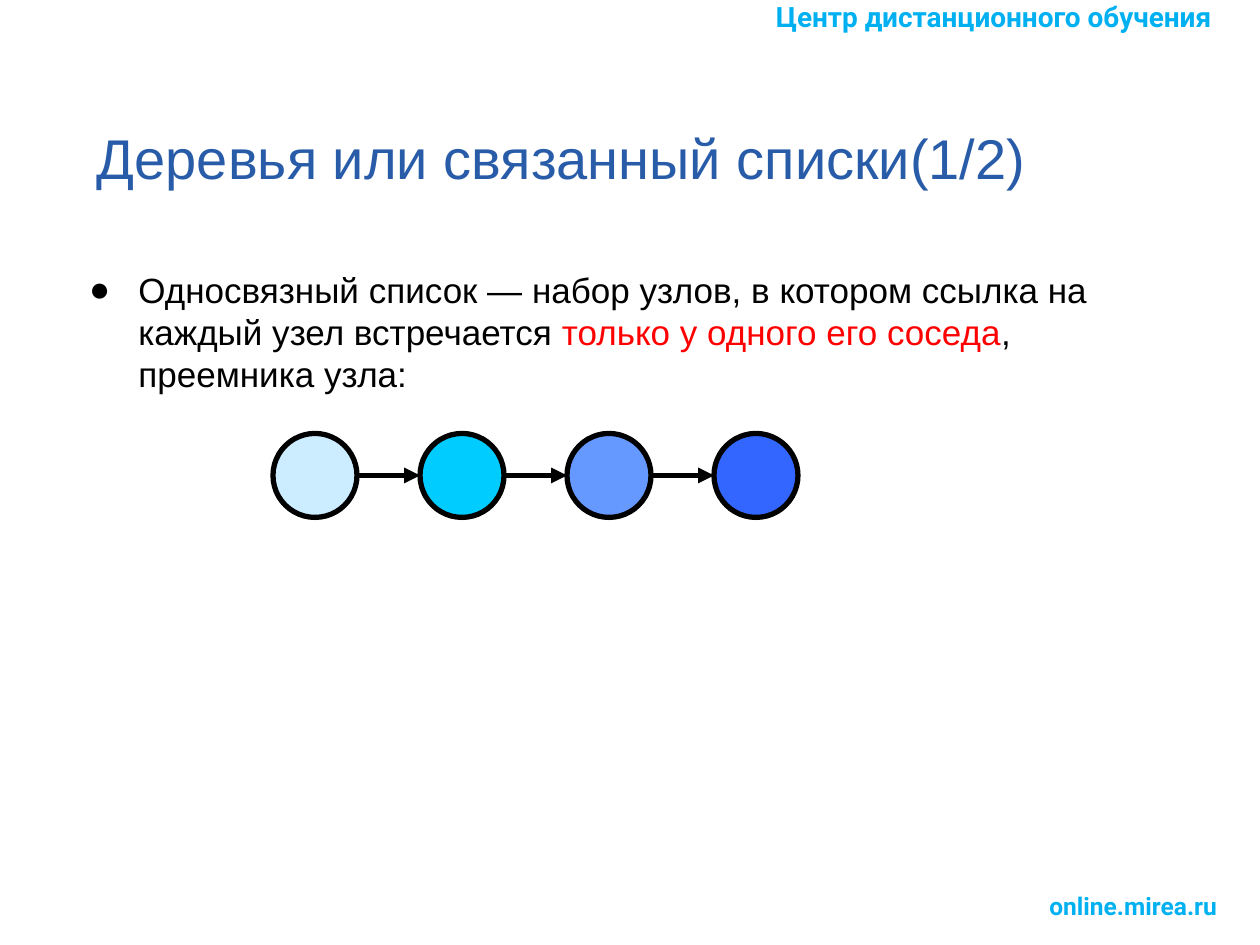
from lxml.etree import SubElement
from pptx import Presentation
from pptx.dml.color import RGBColor
from pptx.enum.shapes import MSO_CONNECTOR, MSO_SHAPE
from pptx.enum.text import MSO_ANCHOR
from pptx.oxml.ns import qn
from pptx.util import Inches, Pt

BLACK = RGBColor(0x00, 0x00, 0x00)
RED = RGBColor(0xFF, 0x00, 0x00)
TITLE_BLUE = RGBColor(0x29, 0x5C, 0xA8)
BRAND_BLUE = RGBColor(0x00, 0xB0, 0xF0)
NODE_FILLS = [
    RGBColor(0xCC, 0xEC, 0xFF),
    RGBColor(0x00, 0xCC, 0xFF),
    RGBColor(0x66, 0x99, 0xFF),
    RGBColor(0x33, 0x66, 0xFF),
]

prs = Presentation()
prs.slide_width, prs.slide_height = Inches(10), Inches(7.5)
s = prs.slides.add_slide(prs.slide_layouts[6])
COL = prs.slide_width / 60  # grid of 60 columns


def add_box(left, top, width, height):
    tf = s.shapes.add_textbox(*map(Inches, (left, top, width, height))).text_frame
    tf.word_wrap = True
    return tf


def add_run(p, text, font, size, color, bold=False):
    r = p.add_run()
    r.text = text
    r.font.name, r.font.size, r.font.bold = font, Pt(size), bold
    r.font.color.rgb = color


# Header and footer
tf = add_box(6.06, -0.05, 3.94, 0.37)
add_run(tf.paragraphs[0], "Центр дистанционного обучения", "Roboto", 16, BRAND_BLUE, True)
tf = add_box(8.23, 7.02, 1.61, 0.34)
add_run(tf.paragraphs[0], "online.mirea.ru", "Roboto", 14, BRAND_BLUE, True)

# Title
tf = add_box(0.67, 0.87, 9, 0.74)
tf.vertical_anchor = MSO_ANCHOR.BOTTOM
tf.margin_top = tf.margin_bottom = Inches(0.1)
add_run(tf.paragraphs[0], "Деревья или связанный списки(1/2)", "Arial", 32, TITLE_BLUE)

# Bulleted definition
tf = add_box(0.5, 1.97, 9, 1.63)
tf.margin_top = Inches(0.16)
p = tf.paragraphs[0]
pPr = p._p.get_or_add_pPr()
pPr.set("marL", str(Inches(0.5)))
pPr.set("indent", str(Inches(-0.39)))
SubElement(pPr, qn("a:buFont"), typeface="Arial")
SubElement(pPr, qn("a:buChar"), char="●")
for text, color in [
    ("Односвязный список — набор узлов, в котором ссылка на каждый узел встречается ", BLACK),
    ("только у одного его соседа", RED),
    (", преемника узла:", BLACK),
]:
    add_run(p, text, "Arial", 20, color)

# Linked list: nodes of 4 columns, gaps of 3
FIRST, NODE, GAP = 13 * COL, 4 * COL, 3 * COL
top = Inches(3.44)
middle = int(top + NODE / 2)
for i, fill in enumerate(NODE_FILLS):
    left = FIRST + i * (NODE + GAP)
    node = s.shapes.add_shape(MSO_SHAPE.OVAL, int(left), top, int(NODE), int(NODE))
    node.shadow.inherit = False
    node.fill.solid()
    node.fill.fore_color.rgb = fill
    node.line.color.rgb = BLACK
    node.line.width = Pt(3)

# Arrows between neighbours
for i in range(len(NODE_FILLS) - 1):
    start = FIRST + i * (NODE + GAP) + NODE
    arrow = s.shapes.add_connector(
        MSO_CONNECTOR.STRAIGHT, int(start), middle, int(start + GAP), middle)
    arrow.line.color.rgb = BLACK
    arrow.line.width = Pt(3)
    SubElement(arrow.line._get_or_add_ln(), qn("a:tailEnd"), type="triangle")
    SubElement(arrow._element.spPr, qn("a:effectLst"))

prs.save("out.pptx")
